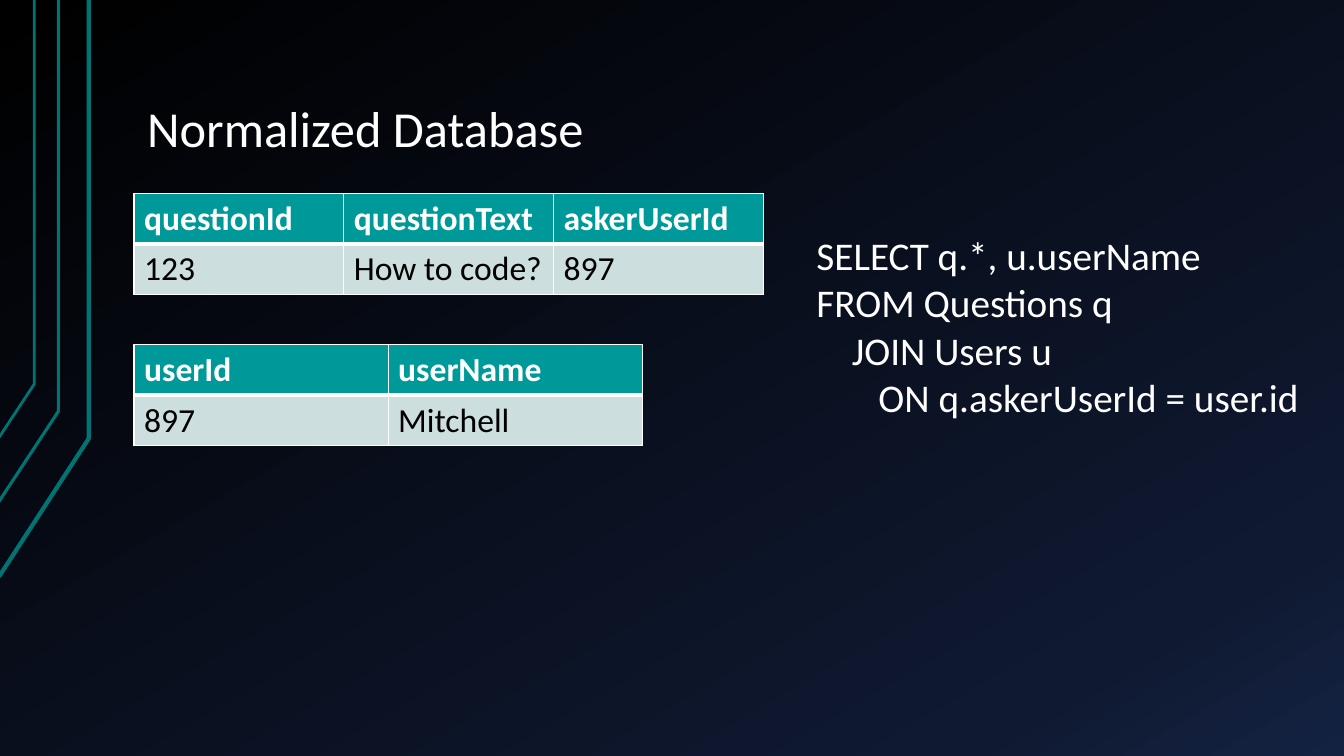
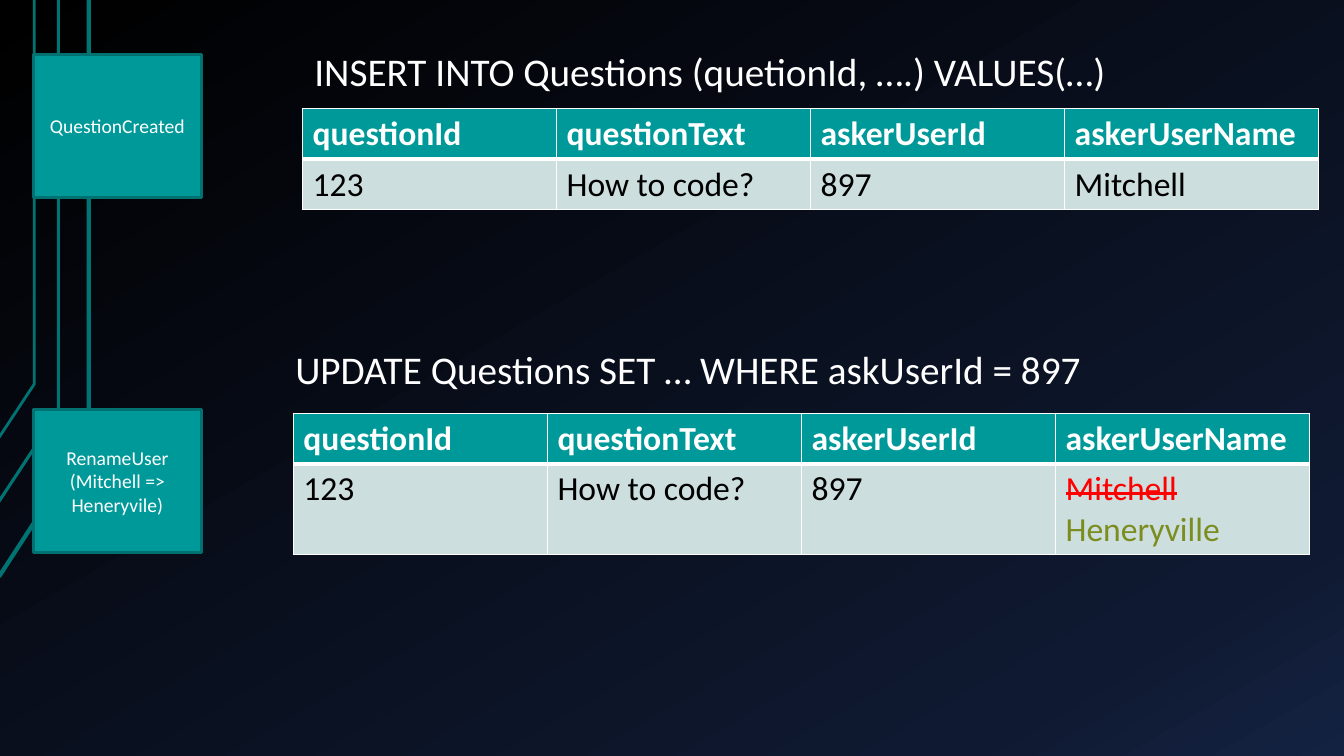
from lxml.etree import SubElement
from pptx import Presentation
from pptx.dml.color import RGBColor
from pptx.enum.shapes import MSO_SHAPE
from pptx.enum.text import MSO_ANCHOR, PP_ALIGN
from pptx.oxml.ns import qn
from pptx.util import Inches, Pt

HEX = {
    "white": "FFFFFF", "black": "000000", "navy": "0F1931", "blue": "142242",
    "teal": "009999", "edge": "007171", "trace": "007373", "pale": "CCDEDE",
    "red": "FF0000", "green": "7B8D1F",
}
STOPS = [(0, "black"), (85, "navy"), (100, "blue")]
TRACES = [
    (3, [(-0.01, 5.72), (0.88, 4.35), (0.88, 0)]),
    (2.25, [(-0.02, 4.99), (0.58, 4.08), (0.58, 0)]),
    (2, [(-0.01, 4.34), (0.34, 3.81), (0.34, 0)]),
]


def rgb(name):
    return RGBColor.from_string(HEX[name])


class Deck:
    """Holds the style and the current slide."""

    font = "Calibri"

    def __init__(self):
        self.prs = Presentation()
        self.prs.slide_width = Inches(13.33)
        self.prs.slide_height = Inches(7.5)
        self.slide = None

    def page(self):
        self.slide = self.prs.slides.add_slide(self.prs.slide_layouts[6])
        # Background gradient
        fill = self.slide.background.fill
        fill.gradient()
        fill.gradient_angle = 300
        stops = self.slide.element.find(".//" + qn("a:gsLst"))
        for old in list(stops):
            stops.remove(old)
        for pos, name in STOPS:
            stop = SubElement(stops, qn("a:gs"), pos=str(pos * 1000))
            SubElement(stop, qn("a:srgbClr"), val=HEX[name])
        # Circuit lines at the left edge
        for width, points in TRACES:
            start, *rest = [(Inches(x), Inches(y)) for x, y in points]
            pen = self.slide.shapes.build_freeform(*start)
            pen.add_line_segments(rest, close=False)
            trace = pen.convert_to_shape()
            trace.shadow.inherit = False
            trace.fill.background()
            trace.line.color.rgb = rgb("trace")
            trace.line.width = Pt(width)

    def style(self, run, size, color="white", bold=False):
        run.font.name = self.font
        run.font.size = Pt(size)
        run.font.bold = bold
        run.font.color.rgb = rgb(color)

    def label(self, frame, text, size, align=PP_ALIGN.LEFT):
        frame.text = text
        for para in frame.paragraphs:
            para.alignment = align
            for run in para.runs:
                self.style(run, size)

    def text(self, text, x, y, w, h, size=28, wrap=False):
        box = self.slide.shapes.add_textbox(
            Inches(x), Inches(y), Inches(w), Inches(h))
        frame = box.text_frame
        frame.word_wrap = wrap
        self.label(frame, text, size)
        return frame

    def title(self, text):
        frame = self.text(text, 1.33, 0.3, 11.33, 1.34, size=36, wrap=True)
        frame.vertical_anchor = MSO_ANCHOR.BOTTOM
        frame.margin_left = frame.margin_right = Inches(0.13)
        frame.margin_top = frame.margin_bottom = Inches(0.07)
        frame.paragraphs[0].line_spacing = 0.9

    def event(self, text, y):
        box = self.slide.shapes.add_shape(
            MSO_SHAPE.RECTANGLE, Inches(0.33), Inches(y), Inches(1.67), Inches(1.42))
        box.shadow.inherit = False
        box.fill.solid()
        box.fill.fore_color.rgb = rgb("teal")
        box.line.color.rgb = rgb("edge")
        box.line.width = Pt(2)
        box.text_frame.word_wrap = True
        box.text_frame.vertical_anchor = MSO_ANCHOR.MIDDLE
        self.label(box.text_frame, text, 14, PP_ALIGN.CENTER)

    def border(self, cell, head):
        props = cell._tc.get_or_add_tcPr()
        thick = "B" if head else "T"
        for side in "LRTB":
            width = Pt(3 if side == thick else 1)
            line = SubElement(props, qn("a:ln" + side), w=str(width))
            solid = SubElement(line, qn("a:solidFill"))
            SubElement(solid, qn("a:srgbClr"), val=HEX["white"])

    def table(self, rows, x, y, col, last=0.5):
        count = len(rows[0])
        grid = self.slide.shapes.add_table(
            len(rows), count, Inches(x), Inches(y),
            Inches(col * count), Inches(0.5 + last)).table
        grid.horz_banding = False
        for column in grid.columns:
            column.width = Inches(col)
        for row, height in zip(grid.rows, (0.5, last)):
            row.height = Inches(height)
        for r, row in enumerate(rows):
            head = r == 0
            for c, text in enumerate(row):
                cell = grid.cell(r, c)
                self.border(cell, head)
                cell.fill.solid()
                cell.fill.fore_color.rgb = rgb("teal" if head else "pale")
                para = cell.text_frame.paragraphs[0]
                para.text = text
                self.style(para.runs[0], 24, "white" if head else "black", head)
        return grid

    def rename(self, cell, old, new):
        para = cell.text_frame.paragraphs[0]
        para.text = old
        para.add_run().text = " "
        para.add_run().text = new
        for run, color in zip(para.runs, ("red", "black", "green")):
            self.style(run, 24, color)
            if color != "green":
                run._r.get_or_add_rPr().set("strike", "sngStrike")


def main():
    deck = Deck()

    # Slide 1: normalized tables and the join
    deck.page()
    deck.title("Normalized Database")
    asked = ["questionId", "questionText", "askerUserId"]
    entry = ["123", "How to code?", "897"]
    deck.table([asked, entry], 1.33, 1.92, 2.08)
    deck.table([["userId", "userName"], ["897", "Mitchell"]], 1.33, 3.42, 2.52)
    query = "\n".join([
        "SELECT q.*, u.userName",
        "FROM Questions q",
        "    JOIN Users u",
        "       ON q.askerUserId = user.id",
    ])
    deck.text(query, 8, 2.25, 5.33, 2.46, wrap=True)

    # Slide 2: events and the rows they change
    deck.page()
    rows = [asked + ["askerUserName"], entry + ["Mitchell"]]
    deck.event("QuestionCreated", 0.54)
    deck.table(rows, 3, 1.08, 2.52)
    deck.event("RenameUser\v(Mitchell => Heneryvile)", 4.06)
    grid = deck.table(rows, 2.91, 4.1, 2.52, last=0.9)
    deck.rename(grid.cell(1, 3), "Mitchell", "Heneryville")
    deck.text("INSERT INTO Questions (quetionId, ….) VALUES(…)",
              3.02, 0.42, 8.14, 0.57)
    deck.text("UPDATE Questions SET … WHERE askUserId = 897",
              2.83, 3.38, 8.12, 0.57)

    deck.prs.save("out.pptx")


if __name__ == "__main__":
    main()
